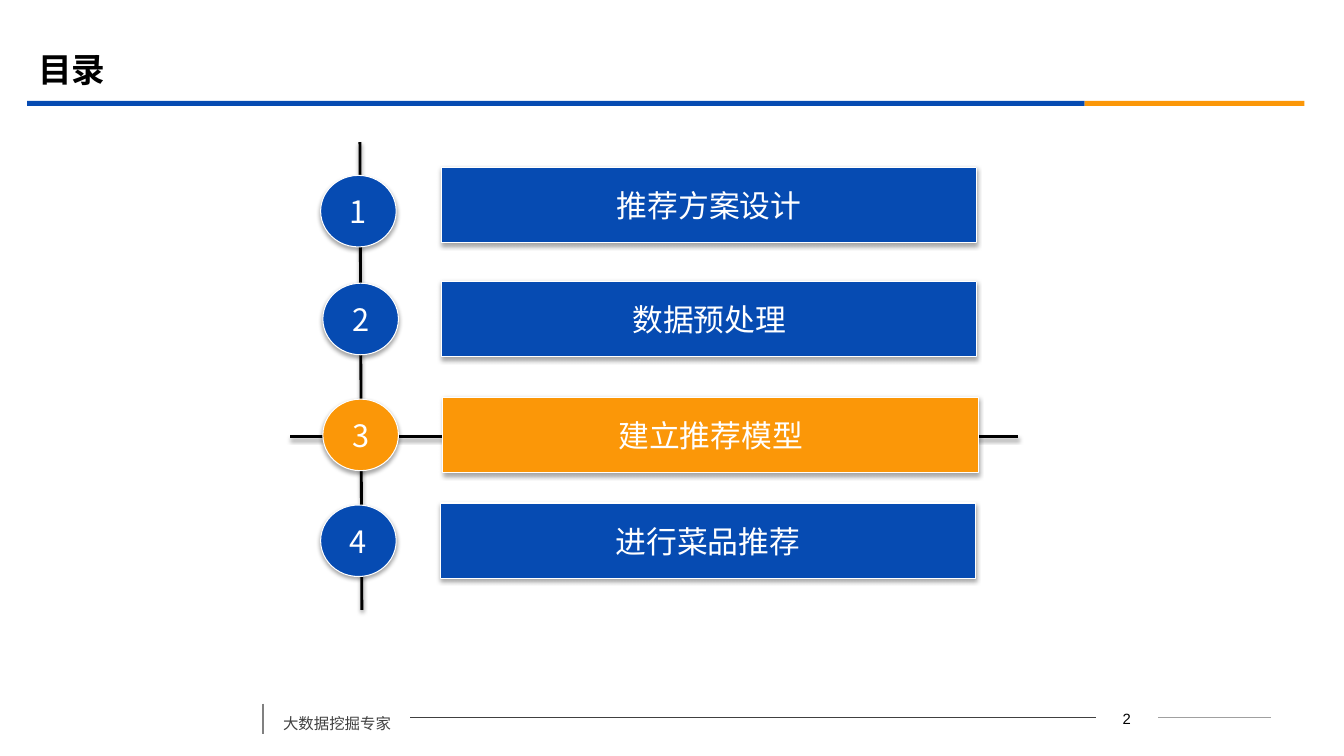
from dataclasses import dataclass

from lxml.etree import SubElement
from pptx import Presentation
from pptx.dml.color import RGBColor as RGB
from pptx.enum.shapes import MSO_CONNECTOR as CONN, MSO_SHAPE as SHAPE
from pptx.enum.text import MSO_ANCHOR as ANCHOR, MSO_AUTO_SIZE as AUTO, PP_ALIGN as ALIGN
from pptx.oxml.ns import qn
from pptx.util import Pt


@dataclass(frozen=True)
class Theme:
    blue: RGB = RGB(0x06, 0x4B, 0xB2)
    orange: RGB = RGB(0xFB, 0x97, 0x08)
    black: RGB = RGB(0, 0, 0)
    white: RGB = RGB(255, 255, 255)
    dark: RGB = RGB(0x40, 0x40, 0x40)
    gray: RGB = RGB(0x80, 0x80, 0x80)
    light: RGB = RGB(0xA0, 0xA0, 0xA0)
    font: str = "Noto Sans CJK SC"
    number_font: str = "Arial"
    title: float = 24
    item: float = 22
    footer: float = 11
    number: float = 10.6


T = Theme()


def write(tf, text, size, color, align=ALIGN.LEFT, bold=False, font=T.font):
    tf.text = text
    p = tf.paragraphs[0]
    p.alignment = align
    r = p.runs[0]
    r.font.size, r.font.bold, r.font.name = Pt(size), bold, font
    r.font.color.rgb = color
    SubElement(r.font._element, qn("a:ea")).set("typeface", font)
    return p


def set_shadow(sp, dist=0.0, alpha=0):
    """Give the shape a soft downward shadow, or none when alpha is 0."""
    pr = sp._element.spPr
    effects = pr.find(qn("a:effectLst"))
    if effects is None:
        effects = SubElement(pr, qn("a:effectLst"))
    if alpha:
        outer = SubElement(effects, qn("a:outerShdw"), blurRad=str(Pt(3.1)),
                           dist=str(Pt(dist)), dir="5400000", rotWithShape="0")
        clr = SubElement(outer, qn("a:srgbClr"), val=str(T.black))
        SubElement(clr, qn("a:alpha"), val=str(alpha * 1000))


def add_line(s, x1, y1, x2, y2, color, width, dist=0.0, alpha=0):
    line = s.shapes.add_connector(CONN.STRAIGHT, Pt(x1), Pt(y1), Pt(x2), Pt(y2))
    line.line.color.rgb, line.line.width = color, Pt(width)
    set_shadow(line, dist, alpha)


def add_block(s, kind, x, y, w, h, fill):
    sp = s.shapes.add_shape(kind, Pt(x), Pt(y), Pt(w), Pt(h))
    sp.shadow.inherit = False
    sp.fill.solid()
    sp.fill.fore_color.rgb = fill
    sp.line.fill.background()
    return sp


def add_label(s, kind, x, y, w, h, fill, text):
    """Outlined, shadowed shape with a centred label."""
    sp = add_block(s, kind, x, y, w, h, fill)
    sp.line.color.rgb, sp.line.width = T.white, Pt(0.75)
    set_shadow(sp, 1.8, 35)
    tf = sp.text_frame
    tf.word_wrap, tf.vertical_anchor = False, ANCHOR.MIDDLE
    write(tf, text, T.item, T.white, ALIGN.CENTER)


def add_text_box(s, x, y, w, h, wrap=True):
    tf = s.shapes.add_textbox(Pt(x), Pt(y), Pt(w), Pt(h)).text_frame
    tf.word_wrap = wrap
    return tf


def header(s, x, y, w, h, text):
    title = s.shapes.title
    title.left, title.top, title.width, title.height = Pt(x + 0.7), Pt(y), Pt(864), Pt(h - 2)
    tf = title.text_frame
    tf.auto_size, tf.vertical_anchor, tf.word_wrap = AUTO.NONE, ANCHOR.MIDDLE, True
    write(tf, text, T.title, T.black, bold=True)
    blue_w = 755.3
    add_block(s, SHAPE.RECTANGLE, x, y + h, blue_w, 3.6, T.blue)
    add_block(s, SHAPE.RECTANGLE, x + blue_w, y + h, w - blue_w, 3.6, T.orange)


def agenda(s, x, y, w, h, items):
    """Numbered rows on a vertical axis; each item has its own small offsets."""
    add_line(s, x + 49.7, y, x + 51.1, y + h, T.black, 2, 1.6, 38)
    active_top = next(top for _, fill, top, *_ in items if fill == T.orange)
    axis_y = y + active_top + 28
    add_line(s, x, axis_y, x + w, axis_y, T.black, 2, 1.6, 38)
    for i, (text, fill, top, bar_dx, badge_dx, badge_dy) in enumerate(items, 1):
        add_label(s, SHAPE.ACTION_BUTTON_CUSTOM, x + 107 + bar_dx, y + top,
                  382.3, 54, fill, text)
        add_label(s, SHAPE.OVAL, x + 21.6 + badge_dx, y + top + badge_dy,
                  54, 51.1, fill, str(i))


def footer(s, x, y, w, h, text, number):
    add_line(s, x, y + 2.9, x, y + h - 3, T.gray, 1.25)
    p = write(add_text_box(s, x + 7.2, y, 97.9, 27.4, wrap=False), text, T.footer, T.dark)
    p.line_spacing, p.space_before = 1.5, Pt(6)
    rule_y, number_x, number_w = y + 13, x + 594.7, 44.6
    add_line(s, x + 105.1, rule_y, number_x, rule_y, T.dark, 0.75)
    add_line(s, number_x + number_w, rule_y, x + w, rule_y, T.light, 0.75)
    tf = add_text_box(s, number_x, y + 3.6, number_w, 18)
    write(tf, number, T.number, T.black, ALIGN.CENTER, font=T.number_font)


def main():
    prs = Presentation()
    prs.slide_width, prs.slide_height = Pt(960), Pt(540)
    s = prs.slides.add_slide(prs.slide_layouts[5])
    header(s, 19.4, 28.1, 912.3, 43.9, "目录")
    agenda(s, 207.4, 101.5, 519.8, 334.1, [
        ("推荐方案设计", T.blue, 18, 1, 0, 5.8),
        ("数据预处理", T.blue, 99.4, 1, 1.6, 1.4),
        ("建立推荐模型", T.orange, 182.2, 2, 1.6, 1.4),
        ("进行菜品推荐", T.blue, 257.8, 0, 0, 1.4),
    ])
    footer(s, 187.9, 499.7, 720, 27.4, "大数据挖掘专家", "2")
    prs.save("out.pptx")


if __name__ == "__main__":
    main()
